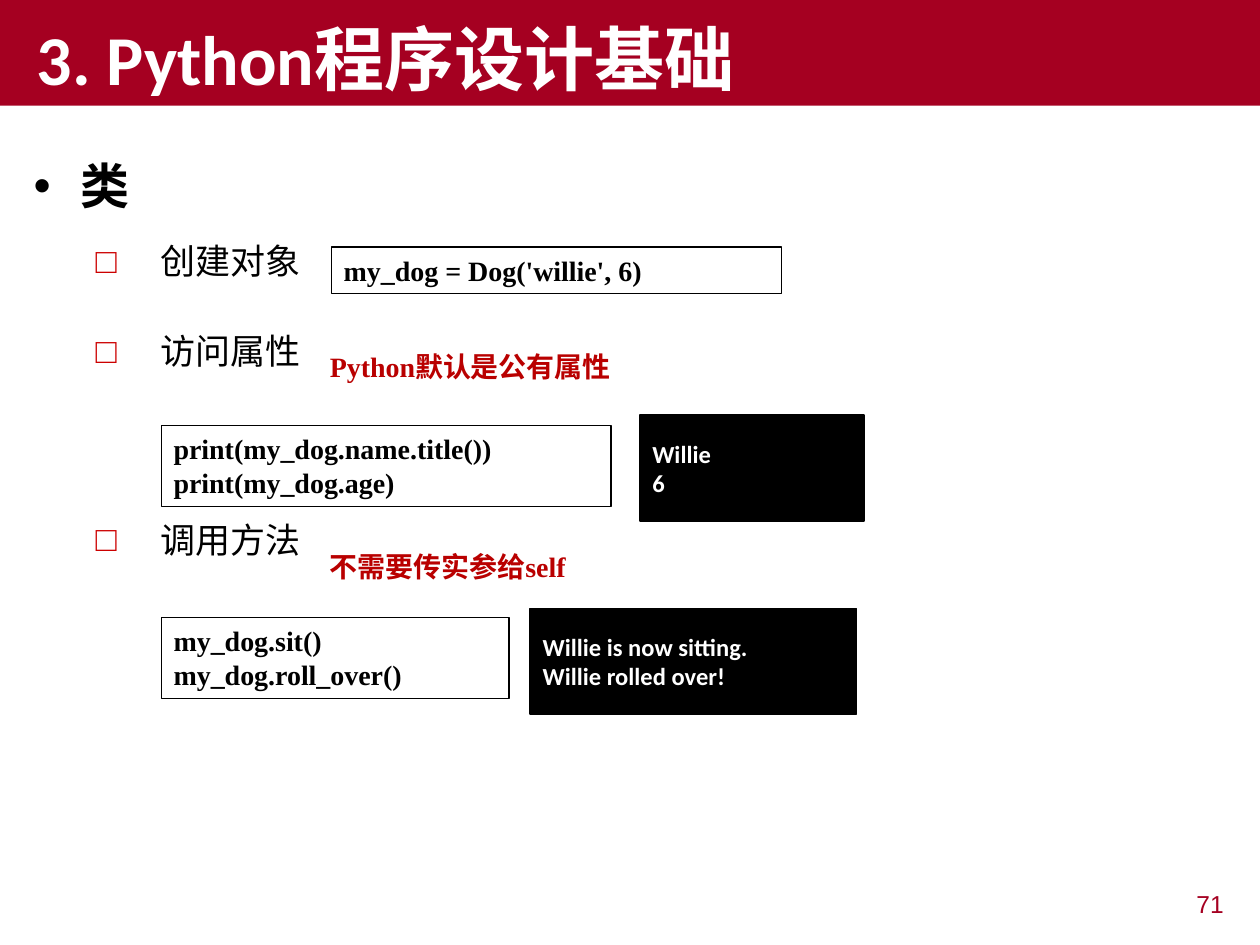
from dataclasses import dataclass
from typing import Optional

from lxml.etree import SubElement
from pptx import Presentation
from pptx.dml.color import RGBColor
from pptx.enum.shapes import MSO_SHAPE as Preset
from pptx.enum.text import MSO_ANCHOR as Anchor, PP_ALIGN as Align
from pptx.oxml.ns import qn
from pptx.util import Cm, Pt


@dataclass(frozen=True)
class Theme:
    crimson: str = "A50021"
    note_red: str = "B90000"
    bullet_red: str = "CC0000"
    black: str = "000000"
    white: str = "FFFFFF"
    heading_font: str = "Calibri"
    code_font: str = "Times New Roman"
    chinese_font: str = "Noto Sans CJK SC"
    number_font: str = "Arial"
    title_size: int = 40
    topic_size: int = 28
    item_size: int = 20
    code_size: int = 16
    output_size: int = 14


THEME = Theme()


@dataclass(frozen=True)
class Style:
    font: str
    size: int
    color: str
    bold: bool = True


@dataclass(frozen=True)
class Box:
    """A text block; left, top, width and height are in centimetres."""
    left: float
    top: float
    width: float
    height: float
    lines: tuple[str, ...]
    style: Style
    fill: Optional[str] = None
    line: Optional[str] = None
    line_width: float = 0.75
    anchor: Anchor = Anchor.TOP
    align: Align = Align.LEFT
    margin_left: float = 0.25


@dataclass(frozen=True)
class Bullet:
    symbol: str
    color: str
    indent: float


TITLE = Style(THEME.heading_font, THEME.title_size, THEME.white)
TOPIC = Style(THEME.chinese_font, THEME.topic_size, THEME.black)
ITEM = Style(THEME.chinese_font, THEME.item_size, THEME.black, bold=False)
CODE = Style(THEME.code_font, THEME.code_size, THEME.black)
NOTE = Style(THEME.code_font, THEME.code_size, THEME.note_red)
OUTPUT = Style(THEME.heading_font, THEME.output_size, THEME.white)
NUMBER = Style(THEME.number_font, THEME.output_size, THEME.crimson, bold=False)


def code_box(left: float, top: float, width: float, height: float, *lines: str) -> Box:
    return Box(left, top, width, height, lines, CODE, line=THEME.black)


def output_box(left: float, top: float, width: float, *lines: str) -> Box:
    return Box(left, top, width, 2.13, lines, OUTPUT, fill=THEME.black,
               line=THEME.black, line_width=1, anchor=Anchor.MIDDLE)


def note_box(top: float, width: float, text: str) -> Box:
    return Box(6.4, top, width, 0.94, (text,), NOTE)


TITLE_BAR = Box(0, 0, 25.4, 2.13, ("3. Python程序设计基础",), TITLE,
                fill=THEME.crimson, anchor=Anchor.BOTTOM, margin_left=0.74)
TOPIC_BOX = Box(0.43, 3.02, 23.85, 1.45, ("类",), TOPIC)
ITEM_BOX = Box(1.68, 4.8, 15.72, 13.97, ("创建对象", "访问属性", "调用方法"), ITEM)
ITEM_GAPS = (0, 30, 86)  # points before each item, leaving room for the code
PANELS = (
    code_box(6.68, 4.98, 9.07, 0.94, "my_dog = Dog('willie', 6)"),
    code_box(3.25, 8.58, 9.07, 1.63, "print(my_dog.name.title())", "print(my_dog.age)"),
    code_box(3.25, 12.45, 7.01, 1.63, "my_dog.sit()", "my_dog.roll_over()"),
    output_box(12.9, 8.37, 4.52, "Willie", "6"),
    output_box(10.69, 12.27, 6.58, "Willie is now sitting.", "Willie rolled over!"),
    note_box(10.95, 5.3, "不需要传实参给self"),
    note_box(6.93, 7.34, "Python默认是公有属性"),
    Box(19.4, 17.8, 5.52, 0.99, ("71",), NUMBER, align=Align.RIGHT),
)


def add_bullet(paragraph, bullet: Bullet) -> None:
    properties = paragraph._p.get_or_add_pPr()
    properties.set("marL", str(Cm(bullet.indent)))
    properties.set("indent", str(-Cm(bullet.indent)))
    color = SubElement(properties, qn("a:buClr"))
    SubElement(color, qn("a:srgbClr"), val=bullet.color)
    SubElement(properties, qn("a:buFont"), typeface=THEME.number_font)
    SubElement(properties, qn("a:buChar"), char=bullet.symbol)


def write_paragraph(paragraph, text: str, style: Style) -> None:
    run = paragraph.add_run()
    run.text = text
    font = paragraph.font
    font.name, font.size, font.bold = style.font, Pt(style.size), style.bold
    font.color.rgb = RGBColor.from_string(style.color)
    # East Asian characters take their own typeface
    SubElement(font._element, qn("a:ea"), typeface=THEME.chinese_font)


def add_box(slide, box: Box, bullet: Optional[Bullet] = None):
    place = [Cm(length) for length in (box.left, box.top, box.width, box.height)]
    if box.fill or box.line:
        shape = slide.shapes.add_shape(Preset.RECTANGLE, *place)
        shape.shadow.inherit = False
        if box.fill:
            shape.fill.solid()
            shape.fill.fore_color.rgb = RGBColor.from_string(box.fill)
        else:
            shape.fill.background()
        if box.line:
            shape.line.color.rgb = RGBColor.from_string(box.line)
            shape.line.width = Pt(box.line_width)
        else:
            shape.line.fill.background()
    else:
        shape = slide.shapes.add_textbox(*place)
    frame = shape.text_frame
    frame.word_wrap = True
    frame.vertical_anchor = box.anchor
    frame.margin_left = Cm(box.margin_left)
    for index, text in enumerate(box.lines):
        paragraph = frame.add_paragraph() if index else frame.paragraphs[0]
        paragraph.alignment = box.align
        if bullet:
            add_bullet(paragraph, bullet)
        write_paragraph(paragraph, text, box.style)
    return shape


def main() -> None:
    presentation = Presentation()
    presentation.slide_width, presentation.slide_height = Cm(25.4), Cm(19.05)
    slide = presentation.slides.add_slide(presentation.slide_layouts[6])

    # Title bar and topic
    add_box(slide, TITLE_BAR)
    add_box(slide, TOPIC_BOX, Bullet("•", THEME.black, 0.95))

    # Items, spaced around the code panels
    items = add_box(slide, ITEM_BOX, Bullet("□", THEME.bullet_red, 1.3))
    for paragraph, gap in zip(items.text_frame.paragraphs, ITEM_GAPS):
        paragraph.line_spacing = 0.9
        paragraph.space_before = Pt(gap)

    # Code, output, notes and slide number
    for panel in PANELS:
        add_box(slide, panel)

    presentation.save("out.pptx")


if __name__ == "__main__":
    main()
